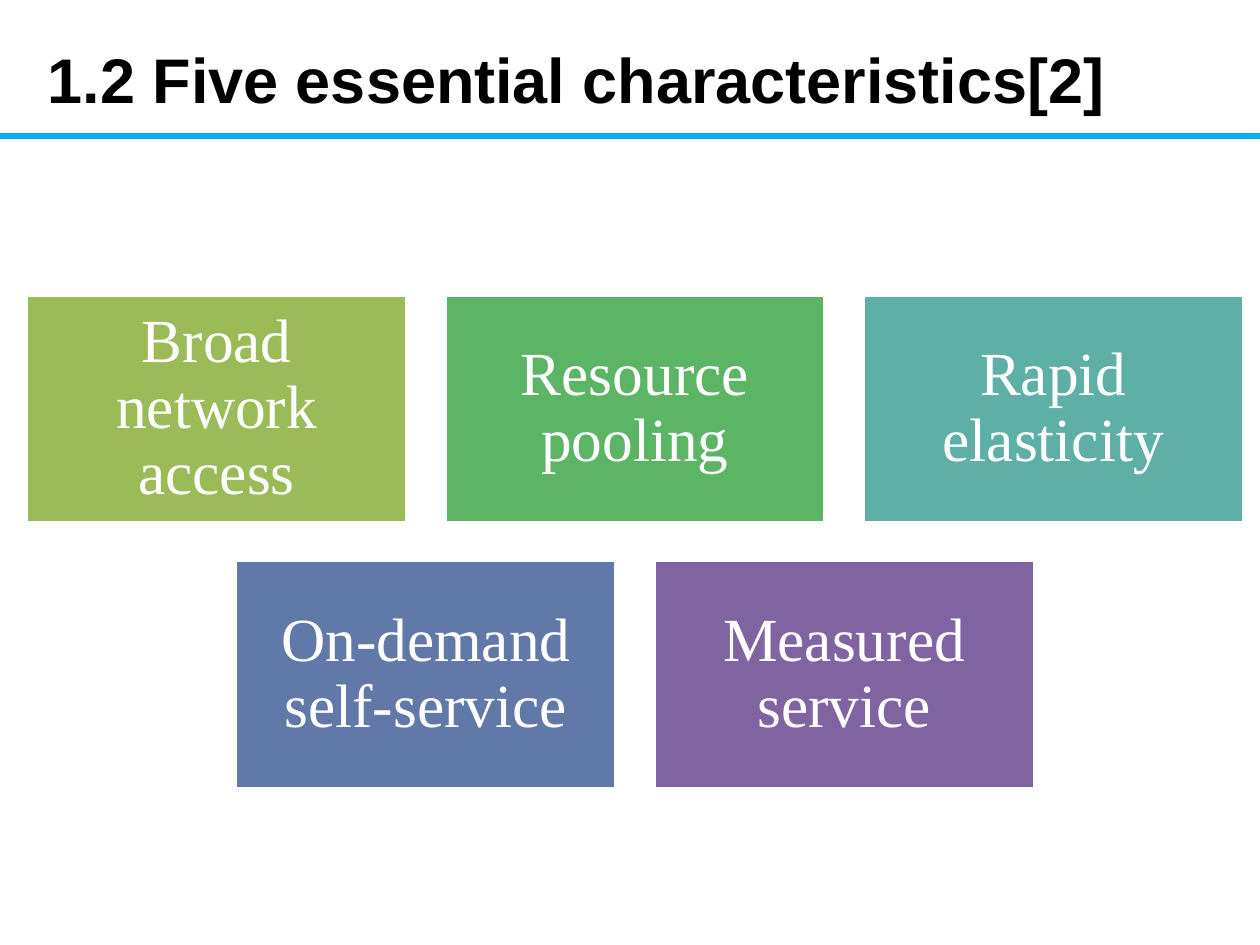
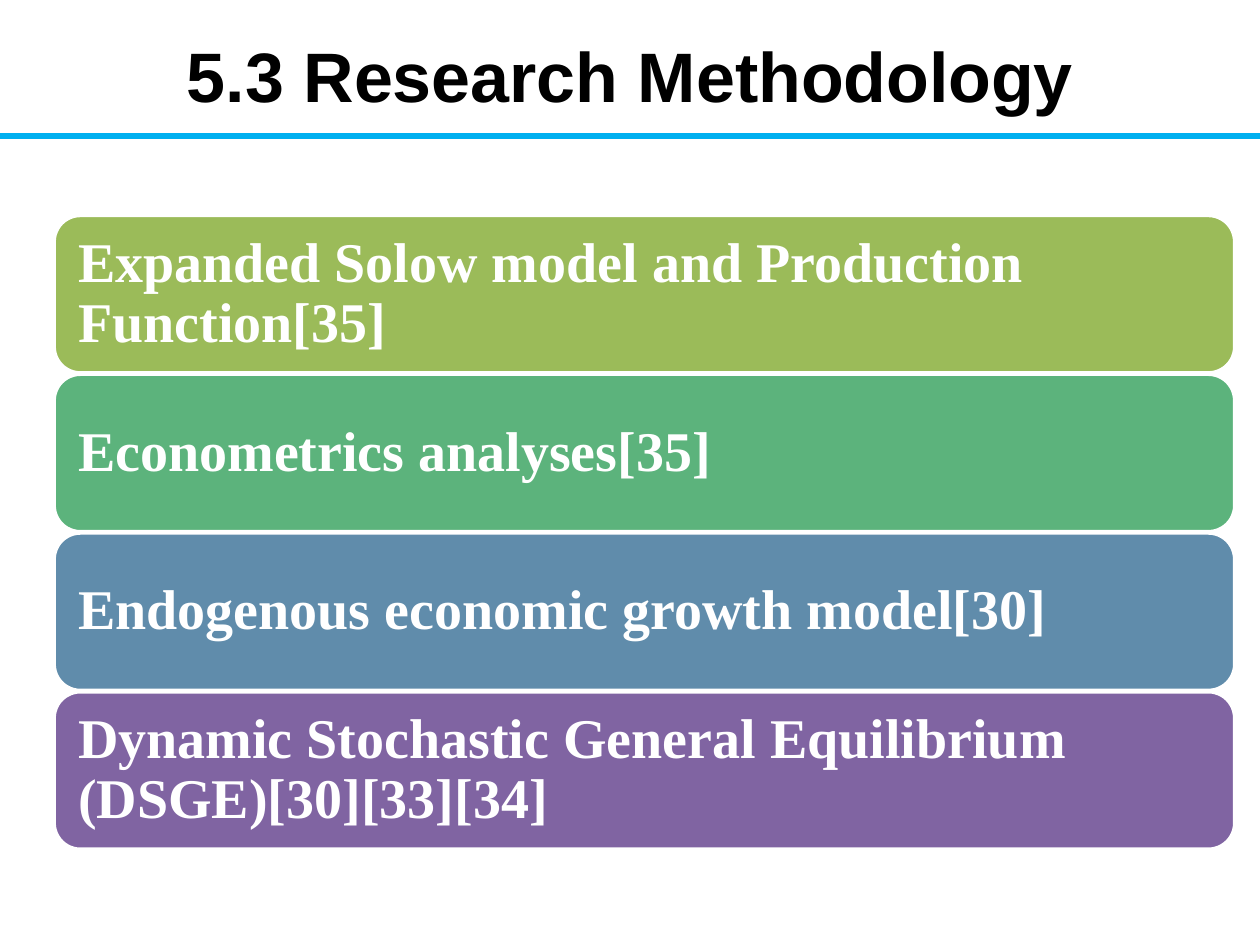
from lxml.etree import SubElement
from pptx import Presentation
from pptx.dml.color import RGBColor
from pptx.enum.shapes import MSO_CONNECTOR as CONNECTOR, MSO_SHAPE as SHAPE
from pptx.enum.text import MSO_ANCHOR as ANCHOR, PP_ALIGN as ALIGN
from pptx.oxml.ns import qn
from pptx.util import Inches, Pt

BLACK = RGBColor(0x00, 0x00, 0x00)
WHITE = RGBColor(0xFF, 0xFF, 0xFF)
SKY = RGBColor(0x00, 0xB0, 0xF0)
OLIVE = RGBColor(0x9B, 0xBB, 0x59)
GREEN = RGBColor(0x5C, 0xB5, 0x65)
TEAL = RGBColor(0x5E, 0xAF, 0xA6)
INDIGO = RGBColor(0x61, 0x79, 0xA8)
PURPLE = RGBColor(0x80, 0x64, 0xA2)
JADE = RGBColor(0x5C, 0xB3, 0x7C)
STEEL = RGBColor(0x60, 0x8C, 0xAB)

TITLE_FONT = "Arial"
BODY_FONT = "Times New Roman"

CHARACTERISTICS = [
    [("Broad network access", OLIVE), ("Resource pooling", GREEN), ("Rapid elasticity", TEAL)],
    [("On-demand self-service", INDIGO), ("Measured service", PURPLE)],
]
METHODS = [
    ("Expanded Solow model and Production Function[35]", OLIVE),
    ("Econometrics analyses[35]", JADE),
    ("Endogenous economic growth model[30]", STEEL),
    ("Dynamic Stochastic General Equilibrium (DSGE)[30][33][34]", PURPLE),
]

SLIDE_W, SLIDE_H = 10, 7.5
RULE_Y = 1.08
TITLE_H = 1.25
CARD_W, CARD_H, CARD_GAP = 3.02, 1.81, 0.3
CARDS_CENTER, CARDS_TOP = 5.04, 2.34
BAR_LEFT, BAR_TOP, BAR_W, BAR_H, BAR_PITCH = 0.43, 1.71, 9.37, 1.25, 1.26


def write(tf, text, font, size, color, bold, align):
    tf.word_wrap = True
    tf.vertical_anchor = ANCHOR.MIDDLE
    p = tf.paragraphs[0]
    p.alignment = align
    r = p.add_run()
    r.text = text
    r.font.name = font
    r.font.size = Pt(size)
    r.font.bold = bold
    r.font.color.rgb = color
    return p


def add_titled_slide(prs, title, left, top, width, size, align):
    s = prs.slides.add_slide(prs.slide_layouts[6])
    box = s.shapes.add_textbox(Inches(left), Inches(top), Inches(width), Inches(TITLE_H))
    write(box.text_frame, title, TITLE_FONT, size, BLACK, True, align)
    rule = s.shapes.add_connector(
        CONNECTOR.STRAIGHT, 0, Inches(RULE_Y), Inches(SLIDE_W), Inches(RULE_Y))
    rule.line.color.rgb = SKY
    rule.line.width = Pt(3)
    SubElement(rule._element.spPr, qn("a:effectLst"))
    return s


def add_block(s, kind, left, top, width, height, text, fill, size, inset, bold, align):
    sp = s.shapes.add_shape(kind, Inches(left), Inches(top), Inches(width), Inches(height))
    sp.shadow.inherit = False
    sp.fill.solid()
    sp.fill.fore_color.rgb = fill
    sp.line.color.rgb = WHITE
    sp.line.width = Pt(2)
    tf = sp.text_frame
    tf.margin_left = tf.margin_right = tf.margin_top = tf.margin_bottom = Inches(inset)
    p = write(tf, text, BODY_FONT, size, WHITE, bold, align)
    p.line_spacing = 0.9


def build_characteristics(prs):
    s = add_titled_slide(prs, "1.2 Five essential characteristics[2]",
                         0.28, 0, 9.3, 36, ALIGN.LEFT)
    for row, cards in enumerate(CHARACTERISTICS):
        row_w = len(cards) * (CARD_W + CARD_GAP) - CARD_GAP
        top = CARDS_TOP + row * (CARD_H + CARD_GAP)
        for col, (text, fill) in enumerate(cards):
            left = CARDS_CENTER - row_w / 2 + col * (CARD_W + CARD_GAP)
            add_block(s, SHAPE.RECTANGLE, left, top, CARD_W, CARD_H,
                      text, fill, 35, 0.15, False, ALIGN.CENTER)


def build_methodology(prs):
    s = add_titled_slide(prs, "5.3 Research Methodology",
                         0.5, -0.03, 9, 40, ALIGN.CENTER)
    for i, (text, fill) in enumerate(METHODS):
        add_block(s, SHAPE.ROUNDED_RECTANGLE, BAR_LEFT, BAR_TOP + i * BAR_PITCH,
                  BAR_W, BAR_H, text, fill, 32, 0.13, True, ALIGN.LEFT)


def main():
    prs = Presentation()
    prs.slide_width = Inches(SLIDE_W)
    prs.slide_height = Inches(SLIDE_H)
    build_characteristics(prs)
    build_methodology(prs)
    prs.save("out.pptx")


if __name__ == "__main__":
    main()
